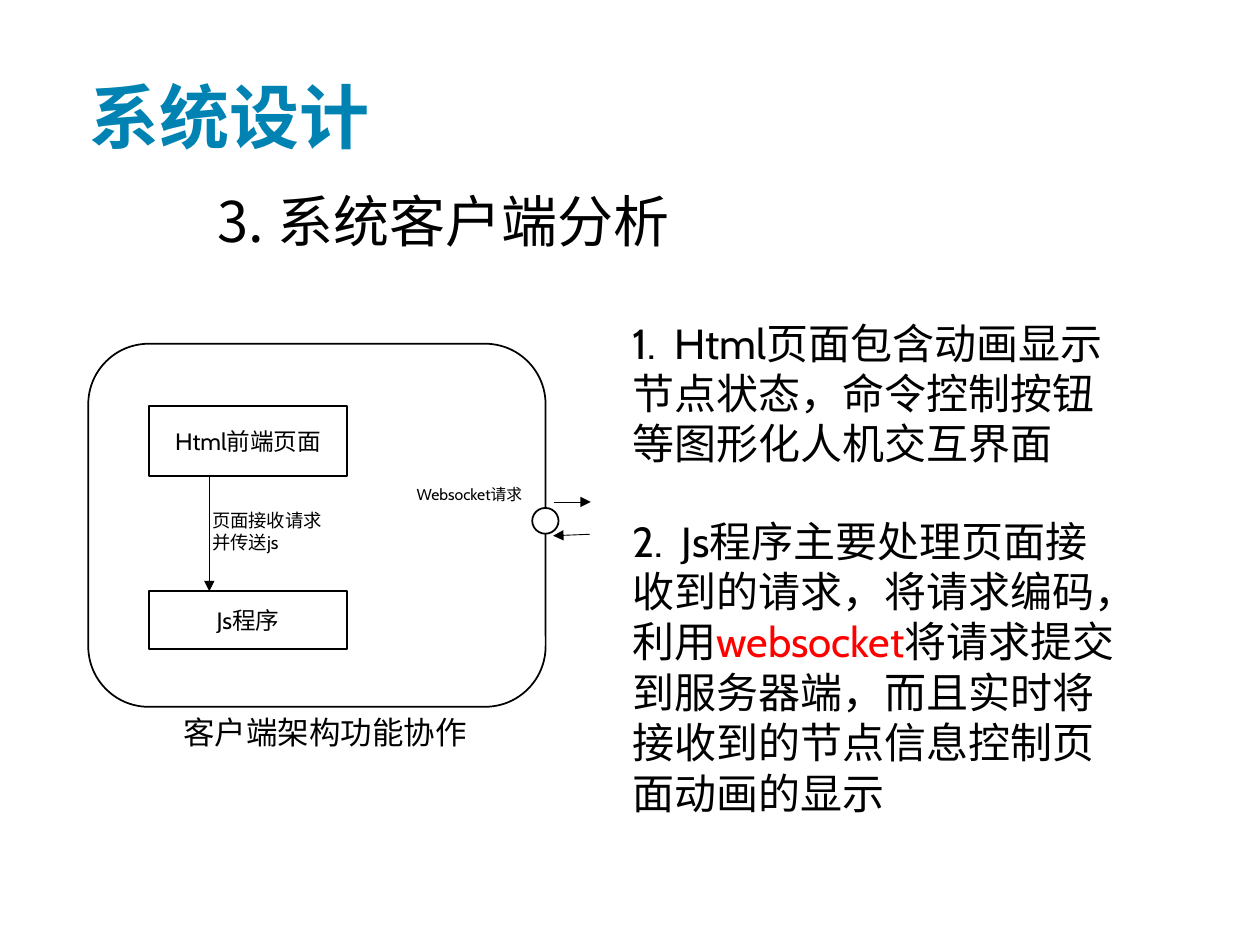
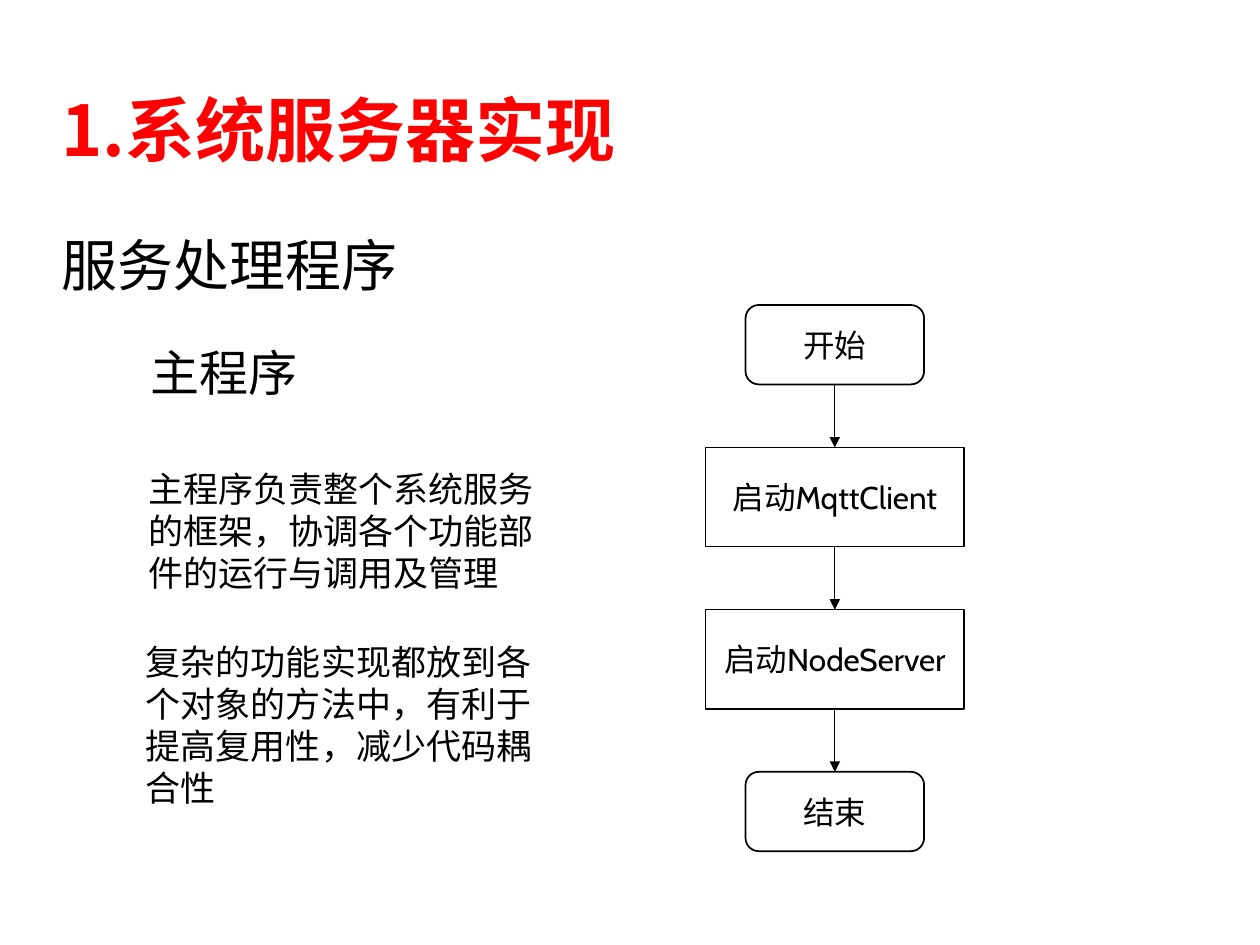
"""Builds two slides on the design of a client and its server program."""
from lxml import etree
from pptx import Presentation
from pptx.dml.color import RGBColor
from pptx.enum.shapes import MSO_CONNECTOR, MSO_SHAPE
from pptx.enum.text import MSO_ANCHOR, MSO_AUTO_SIZE, PP_ALIGN
from pptx.oxml.ns import qn
from pptx.util import Cm, Pt

BLACK = RGBColor(0x00, 0x00, 0x00)
WHITE = RGBColor(0xFF, 0xFF, 0xFF)
BLUE = RGBColor(0x00, 0x83, 0xB3)
RED = RGBColor(0xFF, 0x00, 0x00)

BODY_FONT = "Cabin"
TITLE_FONT = "Noto Sans CJK SC"
TITLE_ONLY_LAYOUT = 5

LEFT, CENTER = PP_ALIGN.LEFT, PP_ALIGN.CENTER
TOP, MIDDLE, BOTTOM = MSO_ANCHOR.TOP, MSO_ANCHOR.MIDDLE, MSO_ANCHOR.BOTTOM
NO_AUTO_SIZE = MSO_AUTO_SIZE.NONE
STRAIGHT = MSO_CONNECTOR.STRAIGHT
RECTANGLE, ELLIPSE = MSO_SHAPE.RECTANGLE, MSO_SHAPE.OVAL
ROUNDED = MSO_SHAPE.ROUNDED_RECTANGLE
PROCESS = MSO_SHAPE.FLOWCHART_PROCESS
TERMINAL = MSO_SHAPE.FLOWCHART_ALTERNATE_PROCESS


def write(frame, text, *, size, font=BODY_FONT, color=BLACK, bold=False,
          align=LEFT, anchor=TOP, highlight=None):
    """Fill a text frame with one paragraph, showing the highlight in red."""
    frame.word_wrap = True
    frame.auto_size = NO_AUTO_SIZE
    frame.vertical_anchor = anchor
    paragraph = frame.paragraphs[0]
    paragraph.alignment = align
    parts = text.partition(highlight) if highlight else (text,)
    for part in parts:
        run = paragraph.add_run()
        run.text = part
        run.font.name = font
        run.font.size = Pt(size)
        run.font.bold = bold
        run.font.color.rgb = RED if part == highlight else color
        east_asian = etree.Element(qn("a:ea"), typeface=BODY_FONT)
        run.font._element.find(qn("a:latin")).addnext(east_asian)


def add_titled_slide(presentation, title, box, color):
    """Add a slide whose title placeholder sits in the given box."""
    layout = presentation.slide_layouts[TITLE_ONLY_LAYOUT]
    slide = presentation.slides.add_slide(layout)
    shape = slide.shapes.title
    shape.left, shape.top, shape.width, shape.height = map(Cm, box)
    write(shape.text_frame, title, size=40, font=TITLE_FONT, color=color,
          bold=True, anchor=BOTTOM)
    return slide


def add_text(slide, text, box, **text_format):
    """Add a text box."""
    shape = slide.shapes.add_textbox(*map(Cm, box))
    write(shape.text_frame, text, **text_format)


def add_node(slide, kind, box, text="", size=18):
    """Add a white shape with a black outline and an optional label."""
    shape = slide.shapes.add_shape(kind, *map(Cm, box))
    shape.shadow.inherit = False
    shape.fill.solid()
    shape.fill.fore_color.rgb = WHITE
    shape.line.color.rgb = BLACK
    shape.line.width = Pt(1)
    if text:
        frame = shape.text_frame
        frame.margin_left = frame.margin_right = Cm(0.2)
        frame.margin_top = frame.margin_bottom = Cm(0.1)
        write(frame, text, size=size, align=CENTER, anchor=MIDDLE)


def add_arrow(slide, start, end):
    """Add a thin black arrow between two points."""
    connector = slide.shapes.add_connector(STRAIGHT, *map(Cm, start + end))
    connector.line.color.rgb = BLACK
    connector.line.width = Pt(0.5)
    line = connector.line._get_or_add_ln()
    etree.SubElement(line, qn("a:tailEnd"), type="triangle")
    etree.SubElement(connector._element.spPr, qn("a:effectLst"))


def add_client_diagram(slide):
    """Draw the parts of the client and its requests."""
    add_node(slide, ROUNDED, (1.78, 6.93, 9.22, 7.32))
    add_node(slide, RECTANGLE, (3, 8.18, 4, 1.42), "Html前端页面", 13.5)
    add_node(slide, RECTANGLE, (3, 11.92, 4, 1.16), "Js程序", 13.5)
    add_arrow(slide, (4.22, 9.6), (4.22, 11.92))
    add_text(slide, "页面接收请求并传送js", (4.03, 10.13, 2.78, 1.37), size=10.5)
    add_node(slide, ELLIPSE, (10.73, 10.24, 0.53, 0.52))
    add_text(slide, "Websocket请求", (8.15, 9.65, 3.12, 0.76), size=9)
    add_arrow(slide, (11.16, 10.12), (11.91, 10.12))
    add_arrow(slide, (11.89, 10.77), (11.15, 10.8))
    add_text(slide, "客户端架构功能协作", (3.45, 14.25, 7.29, 1.22), size=18)


def add_flowchart(slide, steps, center, top, gap):
    """Stack the steps on a centre line and join them with arrows."""
    sizes = {TERMINAL: (3.6, 1.6), PROCESS: (5.21, 2)}
    for index, (kind, label) in enumerate(steps):
        width, height = sizes[kind]
        add_node(slide, kind, (center - width / 2, top, width, height), label)
        if index:
            add_arrow(slide, (center, top - gap), (center, top))
        top += height + gap


def add_client_slide(presentation):
    """Build the slide that analyses the client."""
    slide = add_titled_slide(presentation, "系统设计", (1.55, 1.85, 18.11, 1.45), BLUE)
    add_text(slide, "3. 系统客户端分析", (4.14, 3.63, 10.74, 1.63),
             size=32, font=TITLE_FONT)
    add_text(slide, "1.  Html页面包含动画显示节点状态，命令控制按钮等图形化人机交互界面",
             (12.5, 6.27, 10.21, 3.33), size=24)
    add_text(slide, "2.  Js程序主要处理页面接收到的请求，将请求编码，利用websocket"
             "将请求提交到服务器端，而且实时将接收到的节点信息控制页面动画的显示",
             (12.5, 10.26, 10.44, 6.4), size=24, highlight="websocket")
    add_client_diagram(slide)


def add_server_slide(presentation):
    """Build the slide that shows the main server program."""
    slide = add_titled_slide(presentation, "1.系统服务器实现", (0.99, 1.45, 11.99, 2.11), RED)
    add_text(slide, "服务处理程序", (0.99, 4.52, 10.34, 1.63), size=32)
    add_text(slide, "主程序", (2.79, 6.78, 7.39, 1.45), size=28)
    add_text(slide, "主程序负责整个系统服务的框架，协调各个功能部件的运行与调用及管理",
             (2.74, 9.3, 8.97, 2.82), size=20)
    add_text(slide, "复杂的功能实现都放到各个对象的方法中，有利于提高复用性，减少代码耦合性",
             (2.69, 12.78, 8.79, 3.68), size=20)
    steps = [(TERMINAL, "开始"), (PROCESS, "启动MqttClient"),
             (PROCESS, "启动NodeServer"), (TERMINAL, "结束")]
    add_flowchart(slide, steps, center=16.83, top=6.15, gap=1.27)


def main():
    """Create the presentation and save it."""
    presentation = Presentation()
    presentation.slide_width = Cm(25.4)
    presentation.slide_height = Cm(19.05)
    add_client_slide(presentation)
    add_server_slide(presentation)
    presentation.save("out.pptx")


if __name__ == "__main__":
    main()
